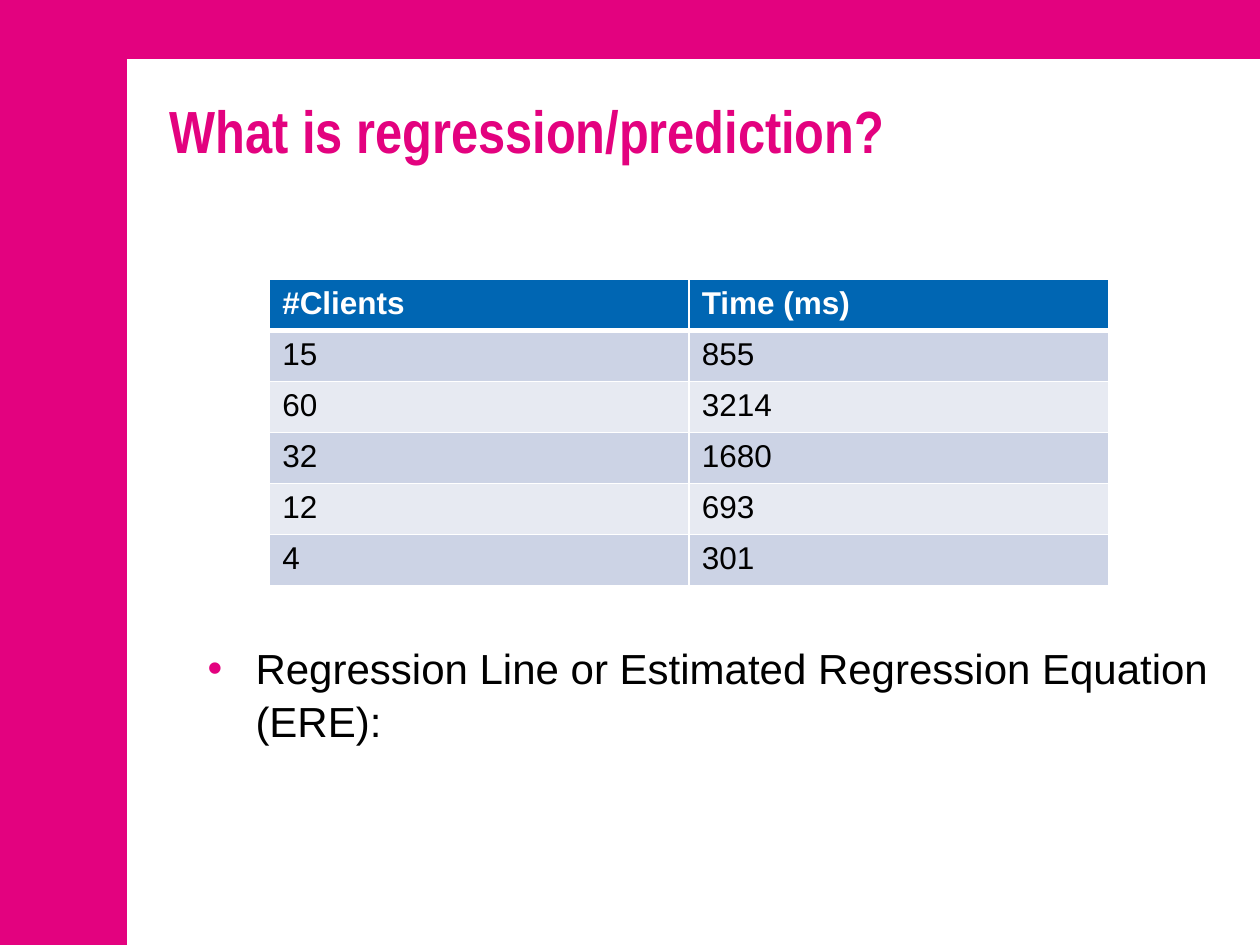
from dataclasses import dataclass

from lxml.etree import SubElement
from pptx import Presentation
from pptx.dml.color import RGBColor
from pptx.enum.shapes import MSO_SHAPE
from pptx.oxml.ns import qn
from pptx.util import Inches, Pt


@dataclass(frozen=True)
class Theme:
    accent: str = "E3027F"
    paper: str = "FFFFFF"
    ink: str = "000000"
    header: str = "0066B3"
    bands: tuple[str, str] = ("CCD3E5", "E7EAF2")
    title_font: str = "Arial Narrow"
    body_font: str = "Arial"
    title_size: int = 34
    body_size: int = 24
    table_size: int = 18


@dataclass(frozen=True)
class Box:
    left: float
    top: float
    width: float
    height: float

    def lengths(self) -> tuple:
        return tuple(Inches(v) for v in (self.left, self.top, self.width, self.height))


THEME = Theme()
PANEL = Box(1.01, 0.47, 8.99, 7.03)
TITLE = Box(1.25, 0.7, 8.44, 1.34)
BODY = Box(1.55, 5.03, 8.14, 1.64)
TABLE = Box(2.14, 2.22, 6.66, 2.43)
ROWS = [
    ("#Clients", "Time (ms)"),
    ("15", "855"),
    ("60", "3214"),
    ("32", "1680"),
    ("12", "693"),
    ("4", "301"),
]


def rgb(color: str) -> RGBColor:
    return RGBColor.from_string(color)


def write(tf, text: str, *, size: int, color: str,
          font: str = THEME.body_font, bold: bool = False):
    """Put one formatted run in the first paragraph and return that paragraph."""
    tf.word_wrap = True
    p = tf.paragraphs[0]
    r = p.add_run()
    r.text = text
    r.font.name = font
    r.font.size = Pt(size)
    r.font.bold = bold
    r.font.color.rgb = rgb(color)
    return p


def add_bullet(p, color: str, indent: float) -> None:
    pPr = p._p.get_or_add_pPr()
    pPr.set("marL", str(Inches(indent)))
    pPr.set("indent", str(-Inches(indent)))
    clr = SubElement(pPr, qn("a:buClr"))
    SubElement(clr, qn("a:srgbClr"), val=color)
    SubElement(pPr, qn("a:buFont"), typeface=THEME.body_font)
    SubElement(pPr, qn("a:buChar"), char="•")


def set_borders(cell, color: str, **widths: float) -> None:
    """Draw cell sides, given as L, R, T and B widths in points."""
    tcPr = cell._tc.get_or_add_tcPr()
    for i, (side, width) in enumerate(widths.items()):
        ln = tcPr.makeelement(qn(f"a:ln{side}"), {"w": str(Pt(width))})
        fill = SubElement(ln, qn("a:solidFill"))
        SubElement(fill, qn("a:srgbClr"), val=color)
        tcPr.insert(i, ln)


def add_data_table(s, box: Box, rows: list[tuple[str, str]]) -> None:
    table = s.shapes.add_table(len(rows), len(rows[0]), *box.lengths()).table
    for i, row in enumerate(rows):
        is_header = i == 0
        for j, text in enumerate(row):
            cell = table.cell(i, j)
            cell.fill.solid()
            cell.fill.fore_color.rgb = rgb(
                THEME.header if is_header else THEME.bands[(i - 1) % 2])
            write(cell.text_frame, text, size=THEME.table_size, bold=is_header,
                  color=THEME.paper if is_header else THEME.ink)
            set_borders(cell, THEME.paper, L=1, R=1,
                        T=3 if i == 1 else 1, B=3 if is_header else 1)


def main() -> None:
    prs = Presentation()
    prs.slide_width, prs.slide_height = Inches(10), Inches(7.5)
    s = prs.slides.add_slide(prs.slide_layouts[6])
    s.background.fill.solid()
    s.background.fill.fore_color.rgb = rgb(THEME.accent)

    panel = s.shapes.add_shape(MSO_SHAPE.RECTANGLE, *PANEL.lengths())
    panel.shadow.inherit = False
    panel.fill.solid()
    panel.fill.fore_color.rgb = rgb(THEME.paper)
    panel.line.fill.background()

    title = s.shapes.add_textbox(*TITLE.lengths())
    write(title.text_frame, "What is regression/prediction?", font=THEME.title_font,
          size=THEME.title_size, color=THEME.accent, bold=True)

    body = s.shapes.add_textbox(*BODY.lengths())
    p = write(body.text_frame, "Regression Line or Estimated Regression Equation (ERE):",
              size=THEME.body_size, color=THEME.ink)
    p.line_spacing = 1.05
    add_bullet(p, THEME.accent, 0.38)

    add_data_table(s, TABLE, ROWS)
    prs.save("out.pptx")


if __name__ == "__main__":
    main()
